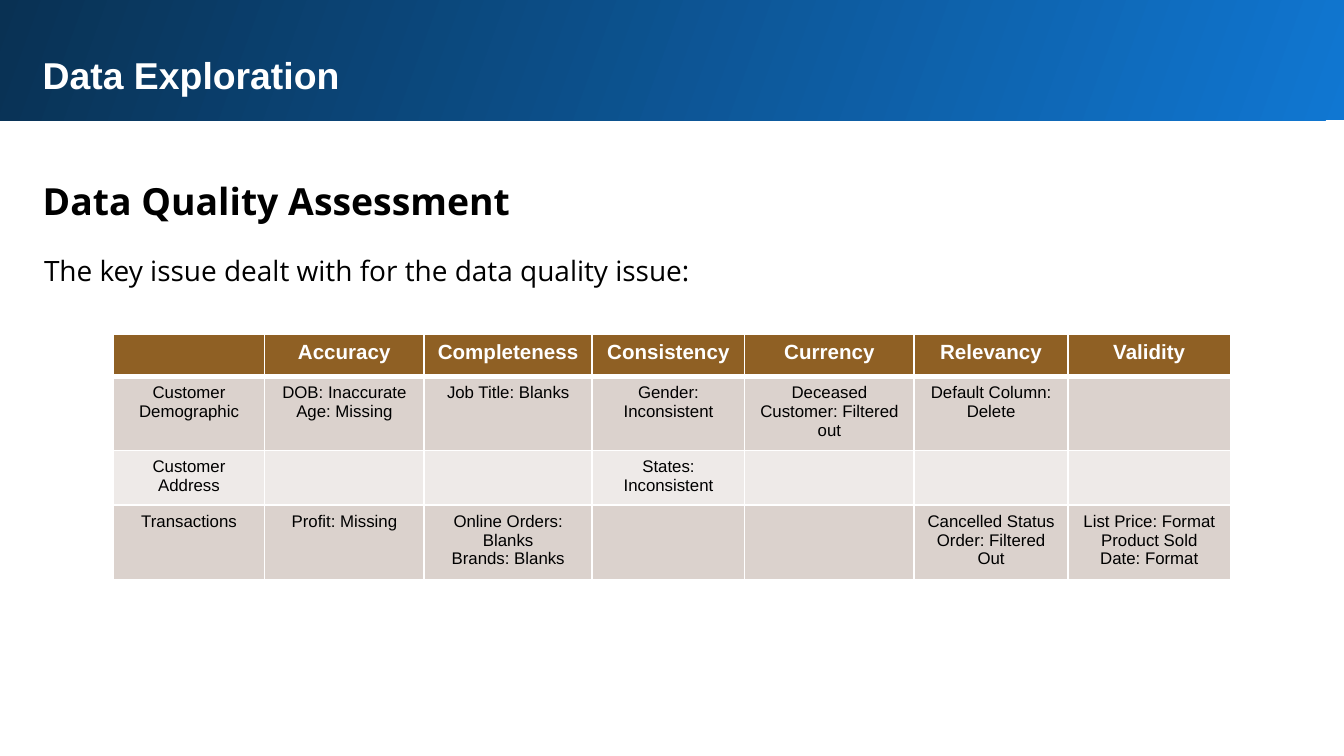
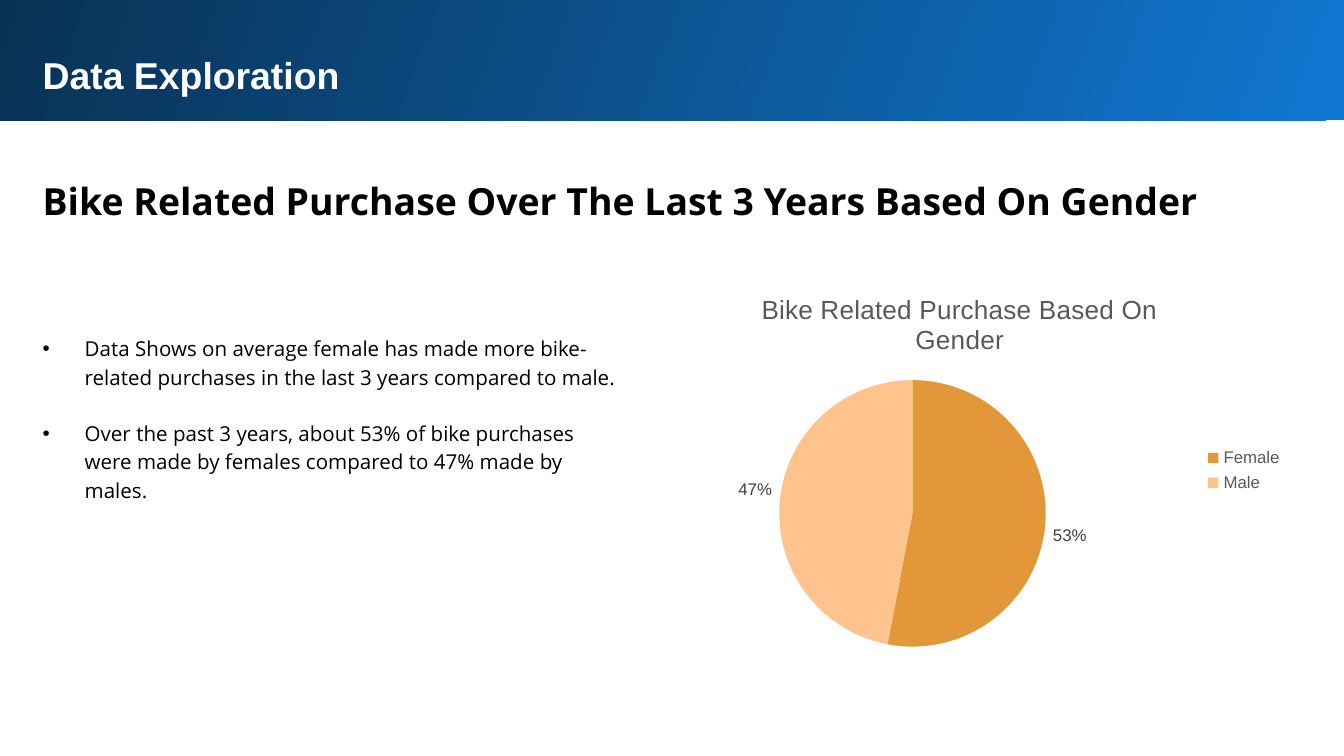
"""Builds the two data exploration slides."""
from lxml.etree import SubElement
from pptx import Presentation
from pptx.chart.data import CategoryChartData as ChartData
from pptx.dml.color import RGBColor
from pptx.enum.chart import XL_CHART_TYPE as ChartType
from pptx.enum.chart import XL_LABEL_POSITION as LabelPosition
from pptx.enum.chart import XL_LEGEND_POSITION as LegendPosition
from pptx.enum.shapes import MSO_SHAPE as Shape
from pptx.enum.text import MSO_AUTO_SIZE as AutoSize
from pptx.enum.text import PP_ALIGN as Align
from pptx.oxml.ns import qn
from pptx.util import Emu, Pt

WHITE = RGBColor(0xFF, 0xFF, 0xFF)
BLACK = RGBColor(0x00, 0x00, 0x00)
BLUE = RGBColor(0x10, 0x77, 0xD2)
NAVY = RGBColor(0x09, 0x31, 0x53)
BROWN = RGBColor(0x8F, 0x60, 0x24)
BAND_DARK = RGBColor(0xDB, 0xD2, 0xCD)
BAND_LIGHT = RGBColor(0xEE, 0xEA, 0xE8)
ORANGE = RGBColor(0xE2, 0x98, 0x39)
PEACH = RGBColor(0xFF, 0xC3, 0x8E)
GREY = RGBColor(0x59, 0x59, 0x59)
LABEL_GREY = RGBColor(0x40, 0x40, 0x40)

TITLE = {"name": "Arial", "size": Pt(20), "bold": True, "color": WHITE}
HEADING = {"name": "Open Sans", "size": Pt(20), "bold": True, "color": BLACK}
INTRO = {"name": "Open Sans", "size": Pt(15), "color": BLACK}
BULLET = {"name": "Open Sans", "size": Pt(11), "color": BLACK}
TABLE_HEAD = {"name": "Arial", "size": Pt(11), "bold": True, "color": WHITE}
TABLE_BODY = {"name": "Arial", "size": Pt(9), "bold": False, "color": BLACK}
CHART_BASE = {"name": "Arial", "size": Pt(10), "color": BLACK}
CHART_TITLE = {"name": "Arial", "size": Pt(14), "bold": False, "color": GREY}
CHART_LEGEND = {"name": "Arial", "size": Pt(9), "color": GREY}
CHART_LABEL = {"name": "Arial", "size": Pt(9), "color": LABEL_GREY}

ISSUES = [
    ["", "Accuracy", "Completeness", "Consistency", "Currency", "Relevancy", "Validity"],
    ["Customer\nDemographic", "DOB: Inaccurate\nAge: Missing", "Job Title: Blanks",
     "Gender:\nInconsistent", "Deceased\nCustomer: Filtered out",
     "Default Column:\nDelete", ""],
    ["Customer\nAddress", "", "", "States:\nInconsistent", "", "", ""],
    ["Transactions", "Profit: Missing", "Online Orders:\nBlanks\nBrands: Blanks", "", "",
     "Cancelled Status\nOrder: Filtered Out",
     "List Price: Format\nProduct Sold\nDate: Format"],
]
FINDINGS = [
    "Data Shows on average female has made more bike-related purchases "
    "in the last 3 years compared to male.",
    "Over the past 3 years, about 53% of bike purchases were made by females "
    "compared to 47% made by males.",
]


def px(length):
    return Emu(length * 9525)


def apply_format(font, values):
    for name, value in values.items():
        if name == "color":
            font.color.rgb = value
        else:
            setattr(font, name, value)


class Deck:
    def __init__(self):
        self.deck = Presentation()
        self.deck.slide_width, self.deck.slide_height = px(960), px(540)
        self.page = None

    def add_page(self, title, heading, title_height):
        self.page = self.deck.slides.add_slide(self.deck.slide_layouts[6])
        self.band(-2, -2, 965, 88)
        self.text([title], 21, 28, 900, title_height, TITLE)
        self.text([heading], 21, 113, 900, 54, HEADING, spacing=1.15)

    def band(self, *place):
        band = self.page.shapes.add_shape(Shape.RECTANGLE, *map(px, place))
        band.shadow.inherit = False
        band.line.fill.background()
        band.fill.gradient()
        band.fill.gradient_angle = 160
        for stop, color, position in zip(band.fill.gradient_stops, (BLUE, NAVY), (0, 1)):
            stop.color.rgb = color
            stop.position = position

    def text(self, lines, left, top, width, height, style, spacing=1.0, bullets=False):
        box = self.page.shapes.add_textbox(*map(px, (left, top, width, height)))
        frame = box.text_frame
        frame.word_wrap = True
        frame.auto_size = AutoSize.SHAPE_TO_FIT_TEXT
        for side in ("left", "top", "right", "bottom"):
            setattr(frame, f"margin_{side}", Pt(7.2))
        frame.text = "\n".join(lines)
        for index, para in enumerate(frame.paragraphs):
            para.line_spacing = spacing
            if bullets:
                self.bullet(para)
                if index:
                    para.space_before = Pt(15)
            for span in para.runs:
                apply_format(span.font, style)

    def bullet(self, para):
        properties = para._p.get_or_add_pPr()
        properties.set("marL", str(px(30)))
        properties.set("indent", str(px(-30)))
        SubElement(properties, qn("a:buFont")).set("typeface", "Arial")
        SubElement(properties, qn("a:buChar")).set("char", "•")

    def table(self, rows, left, top, widths, heights):
        place = map(px, (left, top, sum(widths), sum(heights)))
        table = self.page.shapes.add_table(len(rows), len(widths), *place).table
        for column, width in zip(table.columns, widths):
            column.width = px(width)
        for index, (row, height, texts) in enumerate(zip(table.rows, heights, rows)):
            row.height = px(height)
            fill = (BAND_DARK if index % 2 else BAND_LIGHT) if index else BROWN
            style = TABLE_BODY if index else TABLE_HEAD
            for cell, text in zip(row.cells, texts):
                self.borders(cell, top=3 if index == 1 else 1, bottom=1 if index else 3)
                cell.fill.solid()
                cell.fill.fore_color.rgb = fill
                cell.text = text
                for para in cell.text_frame.paragraphs:
                    para.alignment = Align.CENTER
                    apply_format(para.font, style)
                    for span in para.runs:
                        apply_format(span.font, style)

    def borders(self, cell, top, bottom):
        properties = cell._tc.get_or_add_tcPr()
        for side, weight in (("L", 1), ("R", 1), ("T", top), ("B", bottom)):
            line = SubElement(properties, qn(f"a:ln{side}"), w=str(Pt(weight)))
            fill = SubElement(line, qn("a:solidFill"))
            SubElement(fill, qn("a:srgbClr"), val=str(WHITE))

    def pie(self, title, shares, colors, plot, *place):
        data = ChartData()
        data.categories = list(shares)
        data.add_series("Series 1", list(shares.values()))
        chart = self.page.shapes.add_chart(ChartType.PIE, *map(px, place), data).chart
        apply_format(chart.font, CHART_BASE)
        chart.has_title = True
        chart.chart_title.include_in_layout = False
        frame = chart.chart_title.text_frame
        frame.text = title
        for para in frame.paragraphs:
            apply_format(para.font, CHART_TITLE)
            for span in para.runs:
                apply_format(span.font, CHART_TITLE)
        chart.has_legend = True
        chart.legend.position = LegendPosition.RIGHT
        chart.legend.include_in_layout = False
        apply_format(chart.legend.font, CHART_LEGEND)
        pie = chart.plots[0]
        pie.vary_by_categories = True
        for index, color in enumerate(colors):
            fill = pie.series[0].points[index].format.fill
            fill.solid()
            fill.fore_color.rgb = color
        labels = pie.series[0].data_labels
        values = {"show_percentage": True, "show_value": False,
                  "position": LabelPosition.OUTSIDE_END,
                  "number_format": "0%", "number_format_is_linked": False}
        for name, value in values.items():
            setattr(labels, name, value)
        apply_format(labels.font, CHART_LABEL)
        self.plot_layout(chart, plot)

    def plot_layout(self, chart, plot):
        area = chart._chartSpace.chart.plotArea
        for old in area.findall(qn("c:layout")):
            area.remove(old)
        layout = SubElement(area, qn("c:layout"))
        area.insert(0, layout)
        manual = SubElement(layout, qn("c:manualLayout"))
        values = {"layoutTarget": "inner", "xMode": "edge", "yMode": "edge",
                  **dict(zip("xywh", plot))}
        for name, value in values.items():
            SubElement(manual, qn(f"c:{name}"), val=str(value))


def main():
    deck = Deck()
    deck.add_page("Data Exploration", "Data Quality Assessment", 49)
    deck.text(["The key issue dealt with for the data quality issue:"],
              22, 168, 487, 45, INTRO, spacing=1.15)
    deck.table(ISSUES, 81, 239, [108, 114, 120, 109, 121, 110, 116], [30, 39, 39, 39])

    deck.add_page("Data Exploration",
                  "Bike Related Purchase Over The Last 3 Years Based On Gender", 52)
    deck.text(FINDINGS, 21, 228, 434, 141, BULLET, spacing=1.15, bullets=True)
    deck.pie("Bike Related Purchase Based On\nGender", {"Female": 53, "Male": 47},
             (ORANGE, PEACH), (0.23, 0.27, 0.4, 0.68), 445, 196, 481, 280)
    deck.deck.save("out.pptx")


if __name__ == "__main__":
    main()
